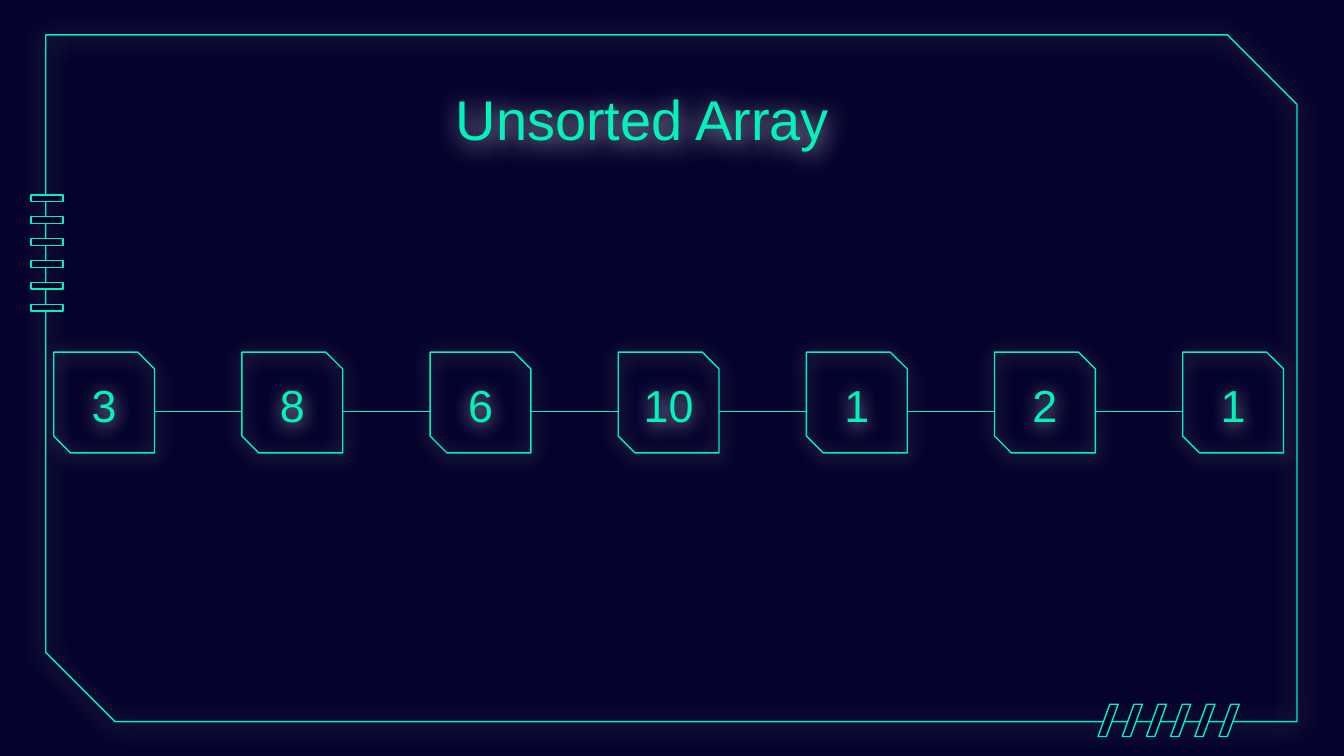
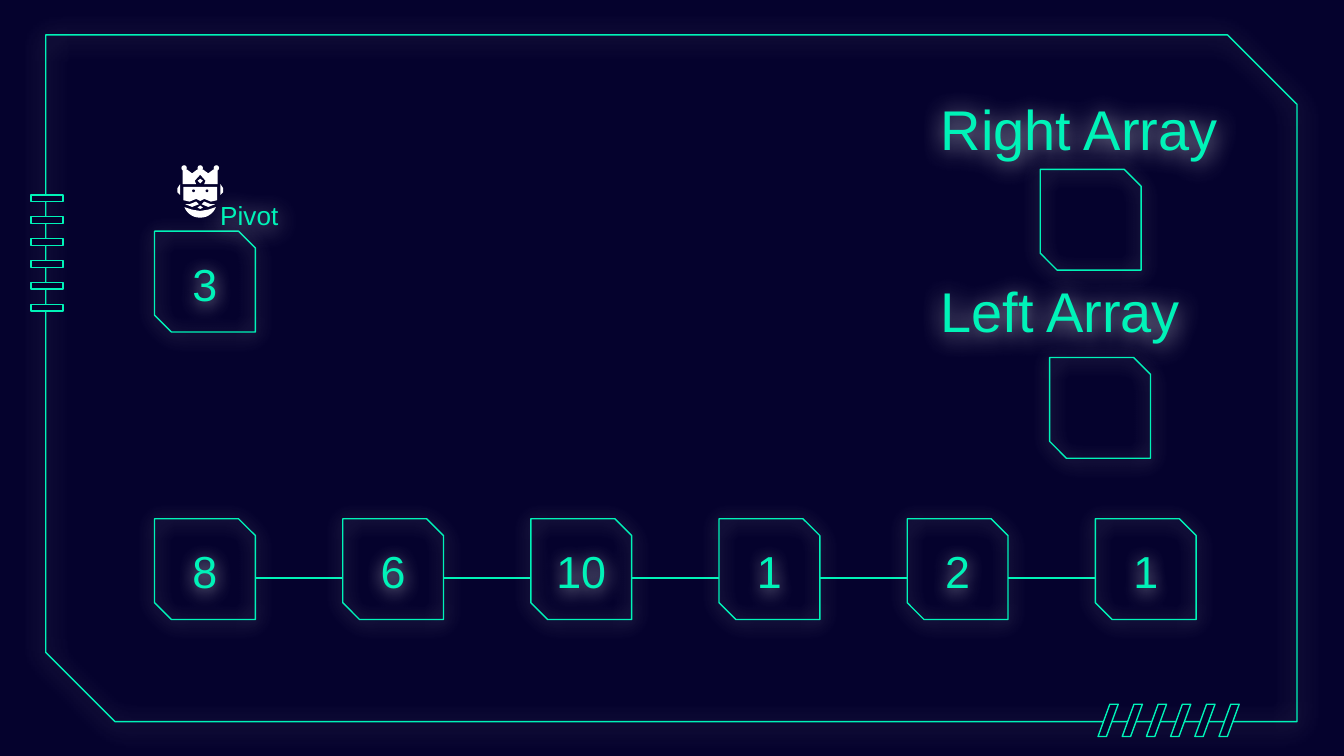
from math import cos, radians, sin

from lxml.etree import SubElement
from pptx import Presentation
from pptx.dml.color import RGBColor
from pptx.enum.shapes import MSO_CONNECTOR, MSO_SHAPE
from pptx.enum.text import MSO_ANCHOR, MSO_AUTO_SIZE, PP_ALIGN
from pptx.oxml.ns import qn
from pptx.util import Inches, Pt

NAVY = "05022D"
MINT = "00F3B8"
WHITE = "FFFFFF"
FONT = "Arial"
BOX = 0.75
STEP = 1.4
FRAME_GLOW = 13.5
BOX_GLOW = 10.1


def rgb(value):
    return RGBColor.from_string(value)


class Deck:
    def __init__(self):
        self.prs = Presentation()
        self.prs.slide_width = Inches(10)
        self.prs.slide_height = Inches(5.625)
        self.layout = self.prs.slide_layouts[5]
        self.slide = None
        self.prepare_layout()

    def prepare_layout(self):
        fill = self.layout.background.fill
        fill.solid()
        fill.fore_color.rgb = rgb(NAVY)
        for sp in list(self.layout.placeholders):
            if sp.placeholder_format.idx != 0:
                sp.element.getparent().remove(sp.element)

    def add_slide(self, title, left, top, width):
        self.slide = self.prs.slides.add_slide(self.layout)
        if len(self.prs.slides) == 1:
            self.frame()
        sp = self.slide.shapes.title
        sp.left, sp.top = Inches(left), Inches(top)
        sp.width, sp.height = Inches(width), Inches(0.7)
        self.set_text(sp, title, 30)
        self.glow(sp, FRAME_GLOW)

    def frame(self):
        border = self.shape(MSO_SHAPE.SNIP_2_DIAG_RECTANGLE, 0.34, 0.26, 9.31, 5.11,
                            adjust=(0, 0.101))
        self.glow(border, FRAME_GLOW)
        rungs = self.slide.shapes.add_group_shape()
        slashes = self.slide.shapes.add_group_shape()
        for i in range(6):
            self.shape(MSO_SHAPE.RECTANGLE, 0.23, 1.45 + 0.163 * i, 0.24, 0.05,
                       fill=NAVY, parent=rungs)
            self.shape(MSO_SHAPE.PARALLELOGRAM, 8.17 + 0.18 * i, 5.24, 0.15, 0.24,
                       fill=NAVY, adjust=(0.585,), parent=slashes)
        for item in (border, rungs, slashes):
            self.layout.shapes.element.append(item.element)

    def style(self, sp, fill, line):
        sp.shadow.inherit = False
        if fill:
            sp.fill.solid()
            sp.fill.fore_color.rgb = rgb(fill)
        else:
            sp.fill.background()
        if line:
            sp.line.color.rgb = rgb(line)
            sp.line.width = Pt(0.75)
        else:
            sp.line.fill.background()

    def shape(self, kind, left, top, width, height, fill=None, line=MINT,
              adjust=(), parent=None):
        sp = (parent or self.slide).shapes.add_shape(
            kind, Inches(left), Inches(top), Inches(width), Inches(height))
        for i, value in enumerate(adjust):
            sp.adjustments[i] = value
        self.style(sp, fill, line)
        return sp

    def glow(self, sp, blur):
        sp.shadow.inherit = False
        effects = sp.element.spPr.find(qn("a:effectLst"))
        shadow = SubElement(effects, qn("a:outerShdw"), blurRad=str(Pt(blur)),
                            dist=str(Pt(1.5)), dir="5400000", algn="bl", rotWithShape="0")
        color = SubElement(shadow, qn("a:srgbClr"), val=WHITE)
        SubElement(color, qn("a:alpha"), val="70000")

    def set_text(self, sp, text, size, align=PP_ALIGN.LEFT):
        tf = sp.text_frame
        tf.word_wrap = True
        tf.auto_size = MSO_AUTO_SIZE.NONE
        tf.vertical_anchor = MSO_ANCHOR.BOTTOM
        tf.margin_left = tf.margin_right = Inches(0.1)
        tf.margin_top = tf.margin_bottom = Inches(0.1)
        tf.text = text
        p = tf.paragraphs[0]
        p.alignment = align
        for r in p.runs:
            r.font.name = FONT
            r.font.size = Pt(size)
            r.font.color.rgb = rgb(MINT)

    def label(self, text, left, top, width, height, size):
        sp = self.slide.shapes.add_textbox(Inches(left), Inches(top),
                                           Inches(width), Inches(height))
        self.set_text(sp, text, size)
        self.glow(sp, FRAME_GLOW)

    def box(self, left, top, text=None):
        sp = self.shape(MSO_SHAPE.SNIP_2_DIAG_RECTANGLE, left, top, BOX, BOX,
                        adjust=(0, 0.167))
        self.glow(sp, BOX_GLOW)
        if text:
            self.set_text(sp, text, 24, PP_ALIGN.CENTER)

    def link(self, start, end, y):
        line = self.slide.shapes.add_connector(MSO_CONNECTOR.STRAIGHT, Inches(start),
                                               Inches(y), Inches(end), Inches(y))
        line.line.color.rgb = rgb(MINT)
        line.line.width = Pt(0.75)
        SubElement(line.element.spPr, qn("a:effectLst"))

    def array(self, values, left, top):
        for i, value in enumerate(values):
            x = left + STEP * i
            if i:
                self.link(x, x - STEP + BOX, top + 0.44)
            self.box(x, top, str(value))

    def polygon(self, points, parent):
        points = [(round(x * 1000), round(y * 1000)) for x, y in points]
        builder = parent.shapes.build_freeform(*points[0], scale=Inches(1) / 1000)
        builder.add_line_segments(points[1:], close=True)
        self.style(builder.convert_to_shape(), WHITE, None)

    def dot(self, x, y, radius, color, parent):
        self.shape(MSO_SHAPE.OVAL, x - radius, y - radius, 2 * radius, 2 * radius,
                   fill=color, line=None, parent=parent)

    def king(self):
        icon = self.slide.shapes.add_group_shape()
        cx = 1.49
        crown = [(1.36, 1.26), (1.36, 1.37), (1.46, 1.37), (1.45, 1.345), (1.49, 1.30),
                 (1.53, 1.345), (1.52, 1.37), (1.62, 1.37), (1.62, 1.26), (1.59, 1.26),
                 (1.55, 1.29), (1.51, 1.26), (1.47, 1.26), (1.43, 1.29), (1.39, 1.26)]
        jewel = [(1.49, 1.33), (1.47, 1.345), (1.49, 1.365), (1.51, 1.345)]
        face = [(1.365, 1.39), (1.365, 1.49), (1.41, 1.5), (1.46, 1.48), (1.49, 1.495),
                (1.52, 1.48), (1.57, 1.5), (1.615, 1.49), (1.615, 1.39)]
        chin = [(1.49, 1.53), (1.47, 1.545), (1.49, 1.555), (1.51, 1.545)]
        beard = [(cx + 0.125 * cos(radians(a)), 1.5 + 0.12 * sin(radians(a)))
                 for a in range(20, 161, 10)]
        beard += [(1.43, 1.56), (1.49, 1.57), (1.55, 1.56)]
        for points in (crown, jewel, face, chin, beard):
            self.polygon(points, icon)
        ear = [(-0.15, 1.37), (-0.17, 1.4), (-0.17, 1.43), (-0.15, 1.45)]
        moustache = [(-0.03, 1.5), (-0.08, 1.52), (-0.11, 1.52), (-0.06, 1.54), (-0.01, 1.52)]
        for side in (1, -1):
            for part in (ear, moustache):
                self.polygon([(cx + side * dx, y) for dx, y in part], icon)
            self.dot(cx + side * 0.05, 1.42, 0.01, NAVY, icon)
        for x in (1.37, cx, 1.61):
            self.dot(x, 1.25, 0.02, WHITE, icon)


def main():
    deck = Deck()
    values = [3, 8, 6, 10, 1, 2, 1]
    pivot, *rest = values

    deck.add_slide("Unsorted Array", 3.29, 0.53, 4.78)
    deck.array(values, 0.4, 2.62)

    deck.add_slide("Right Array", 6.9, 0.6, 2.43)
    deck.box(1.15, 1.72, str(pivot))
    deck.array(rest, 1.15, 3.86)
    deck.king()
    deck.label("Left Array", 6.9, 1.96, 2.43, 0.7, 30)
    deck.box(7.74, 1.26)
    deck.box(7.81, 2.66)
    deck.label("Pivot", 1.54, 1.45, 0.75, 0.37, 14)

    deck.prs.save("out.pptx")


if __name__ == "__main__":
    main()
